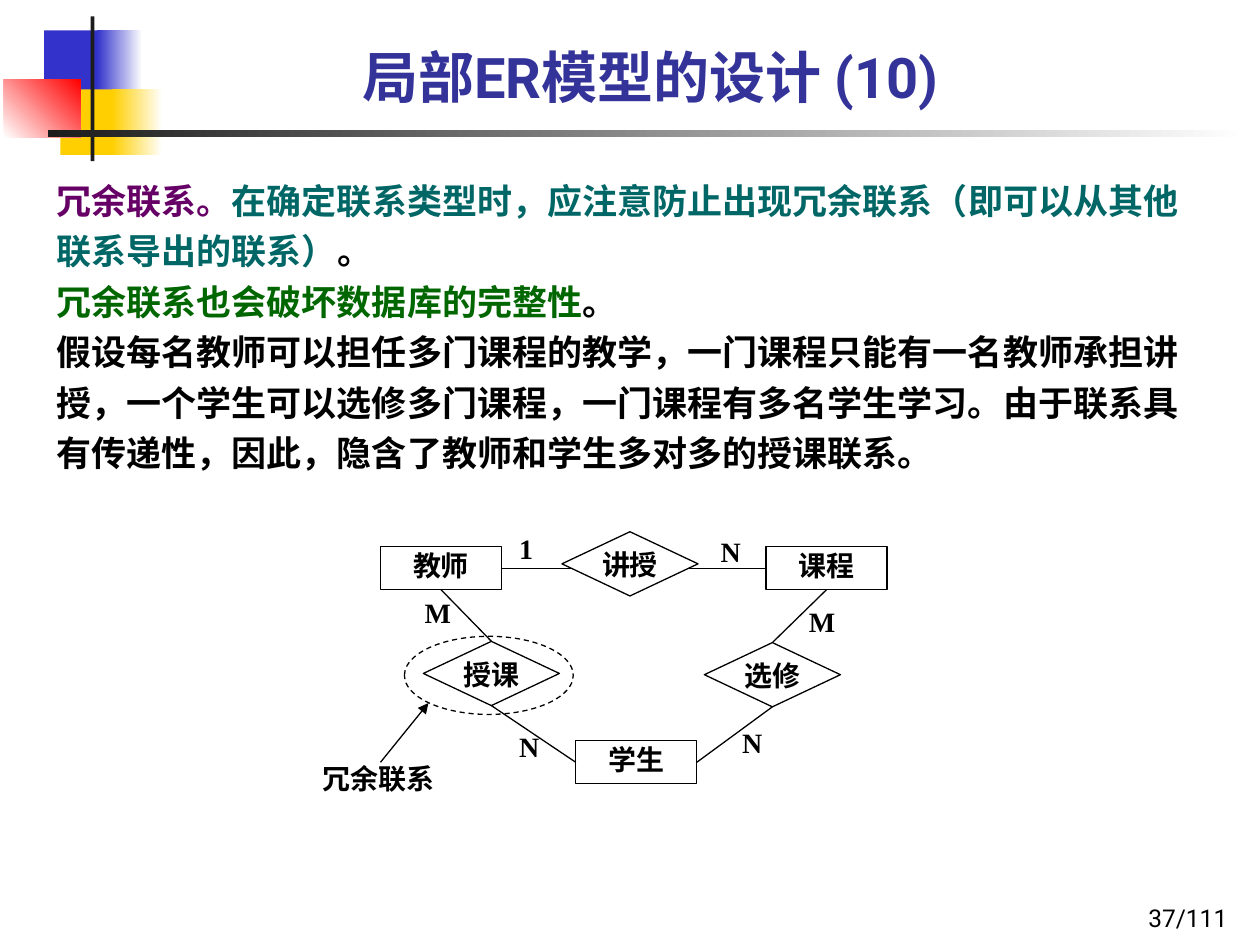
from lxml import etree
from pptx import Presentation
from pptx import util as u
from pptx.dml.color import RGBColor
from pptx.enum import dml, shapes, text
from pptx.oxml import ns

BLACK = RGBColor(0x00, 0x00, 0x00)
WHITE = RGBColor(0xFF, 0xFF, 0xFF)
CHARCOAL = RGBColor(0x1C, 0x1C, 0x1C)
BLUE = RGBColor(0x33, 0x33, 0xCC)
YELLOW = RGBColor(0xFF, 0xCF, 0x01)
RED = RGBColor(0xFF, 0x00, 0x00)
INDIGO = RGBColor(0x33, 0x33, 0x99)
PURPLE = RGBColor(0x66, 0x00, 0x66)
TEAL = RGBColor(0x00, 0x66, 0x66)
GREEN = RGBColor(0x00, 0x66, 0x00)

SHAPE = shapes.MSO_SHAPE
ALIGN = text.PP_ALIGN
ANCHOR = text.MSO_ANCHOR
TOP, LEFT, BOTTOM, RIGHT = range(4)


class SlideBuilder:
    """Holds the style and the slide being filled."""

    heading_font = "Roboto"
    label_font = {"name": "Times New Roman", "size": u.Pt(16), "bold": True}
    line_width = u.Pt(0.75)

    def __init__(self, slide):
        self.slide = slide

    def fill_text(self, shape, paragraphs, font, align, anchor=ANCHOR.TOP,
                  margins=(0.1, 0.05, 0.1, 0.05), spacing=None):
        """Fill a shape with paragraphs, each a list of (words, colour)."""
        left, top, right, bottom = map(u.Inches, margins)
        frame = shape.text_frame
        frame_format = {"word_wrap": True, "vertical_anchor": anchor,
                        "margin_left": left, "margin_top": top,
                        "margin_right": right, "margin_bottom": bottom}
        for name, value in frame_format.items():
            setattr(frame, name, value)
        for index, runs in enumerate(paragraphs):
            paragraph = frame.add_paragraph() if index else frame.paragraphs[0]
            paragraph.alignment = align
            paragraph.line_spacing = spacing
            for words, color in runs:
                run = paragraph.add_run()
                run.text = words
                for name, value in font.items():
                    setattr(run.font, name, value)
                run.font.color.rgb = color

    def text_box(self, box, paragraphs, font, align, **options):
        shape = self.slide.shapes.add_textbox(*map(u.Inches, box))
        self.fill_text(shape, paragraphs, font, align, **options)

    def block(self, box, start, end=None, angle=0):
        """Borderless rectangle, plain or with a gradient."""
        shape = self.slide.shapes.add_shape(SHAPE.RECTANGLE, *map(u.Inches, box))
        shape.shadow.inherit = False
        shape.line.fill.background()
        if end is None:
            shape.fill.solid()
            shape.fill.fore_color.rgb = start
            return
        shape.fill.gradient()
        shape.fill.gradient_angle = angle
        for stop, color in zip(shape.fill.gradient_stops, (start, end)):
            stop.color.rgb = color

    def outline(self, kind, box):
        shape = self.slide.shapes.add_shape(kind, *map(u.Inches, box))
        shape.shadow.inherit = False
        shape.fill.background()
        shape.line.color.rgb = BLACK
        shape.line.width = self.line_width
        return shape

    def node(self, kind, box, words, top_margin=0):
        """White diagram shape with a centred name."""
        shape = self.outline(kind, box)
        shape.fill.solid()
        shape.fill.fore_color.rgb = WHITE
        self.fill_text(shape, [[(words, BLACK)]], self.label_font, ALIGN.CENTER,
                       margins=(0, top_margin, 0, 0))
        return shape

    def entity(self, left, top, words):
        return self.node(SHAPE.RECTANGLE, (left, top, 0.96, 0.34), words, 0.01)

    def relation(self, left, top, words):
        return self.node(SHAPE.DIAMOND, (left, top, 1.08, 0.51), words)

    def label(self, left, top, words, width=0.19):
        self.text_box((left, top, width, 0.31), [[(words, BLACK)]],
                      self.label_font, ALIGN.JUSTIFY, margins=(0, 0, 0, 0))

    def line(self, start=(0, 0), end=(0, 0)):
        connector = self.slide.shapes.add_connector(
            shapes.MSO_CONNECTOR.STRAIGHT, *map(u.Inches, start + end))
        connector.line.color.rgb = BLACK
        connector.line.width = self.line_width
        etree.SubElement(connector._element.spPr, ns.qn("a:effectLst"))
        return connector

    def link(self, first, first_side, second, second_side):
        connector = self.line()
        connector.begin_connect(first, first_side)
        connector.end_connect(second, second_side)

    def arrow(self, start, end):
        connector = self.line(start, end)
        etree.SubElement(connector.line._get_or_add_ln(), ns.qn("a:tailEnd"),
                         type="triangle")


def main():
    presentation = Presentation()
    presentation.slide_width = u.Inches(10)
    presentation.slide_height = u.Inches(7.5)
    builder = SlideBuilder(
        presentation.slides.add_slide(presentation.slide_layouts[6]))

    # Corner ornament and rule
    for box, *colors in [
        ((0.35, 0.24, 0.48, 0.52), BLUE),
        ((0.77, 0.24, 0.36, 0.52), BLUE, WHITE),
        ((0.48, 0.71, 0.46, 0.52), YELLOW),
        ((0.89, 0.71, 0.4, 0.52), YELLOW, WHITE),
        ((0.03, 0.63, 0.61, 0.46), WHITE, RED, 45),
        ((0.72, 0.13, 0.03, 1.15), CHARCOAL),
        ((0.38, 1.03, 9.51, 0.06), CHARCOAL, WHITE),
    ]:
        builder.block(box, *colors)

    # Title, body and page number
    font = builder.heading_font
    builder.text_box((0.9, 0.05, 8.52, 0.87), [[("局部ER模型的设计 (10)", INDIGO)]],
                     {"name": font, "size": u.Pt(32), "bold": True},
                     ALIGN.CENTER, anchor=ANCHOR.BOTTOM)
    body = [
        [("冗余联系。", PURPLE),
         ("在确定联系类型时，应注意防止出现冗余联系（即可以从其他联系导出的联系）", TEAL),
         ("。", BLACK)],
        [("冗余联系也会破坏数据库的完整性", GREEN), ("。", BLACK)],
        [("假设每名教师可以担任多门课程的教学，一门课程只能有一名教师承担讲授，"
          "一个学生可以选修多门课程，一门课程有多名学生学习。由于联系具有传递性，"
          "因此，隐含了教师和学生多对多的授课联系。", BLACK)],
    ]
    builder.text_box((0.35, 1.31, 9.29, 3.23), body,
                     {"name": font, "size": u.Pt(20), "bold": True},
                     ALIGN.LEFT, spacing=1.2)
    builder.text_box((7.76, 6.95, 2.08, 0.5), [[("37/111", BLACK)]],
                     {"name": font, "size": u.Pt(14)},
                     ALIGN.RIGHT, anchor=ANCHOR.BOTTOM)

    # Entities and relations; the teaching line runs behind its diamond
    teacher = builder.entity(3.02, 4.34, "教师")
    course = builder.entity(6.08, 4.34, "课程")
    student = builder.entity(4.57, 5.88, "学生")
    builder.link(teacher, RIGHT, course, LEFT)
    builder.relation(4.46, 4.22, "讲授")
    lecturing = builder.relation(3.36, 5.09, "授课")
    electing = builder.relation(5.59, 5.1, "选修")
    builder.link(teacher, BOTTOM, lecturing, TOP)
    builder.link(lecturing, BOTTOM, student, LEFT)
    builder.link(course, BOTTOM, electing, TOP)
    builder.link(electing, BOTTOM, student, RIGHT)

    # Redundant relation callout
    ring = builder.outline(SHAPE.OVAL, (3.21, 5.05, 1.34, 0.62))
    ring.line.dash_style = dml.MSO_LINE.DASH
    builder.arrow((3.02, 6.05), (3.4, 5.58))
    builder.label(2.56, 6.04, "冗余联系", width=0.96)

    # Cardinalities
    for left, top, words in [
        (4.12, 4.22, "1"), (5.72, 4.24, "N"), (3.37, 4.73, "M"),
        (4.12, 5.79, "N"), (6.42, 4.8, "M"), (5.89, 5.76, "N"),
    ]:
        builder.label(left, top, words)

    presentation.save("out.pptx")


if __name__ == "__main__":
    main()
